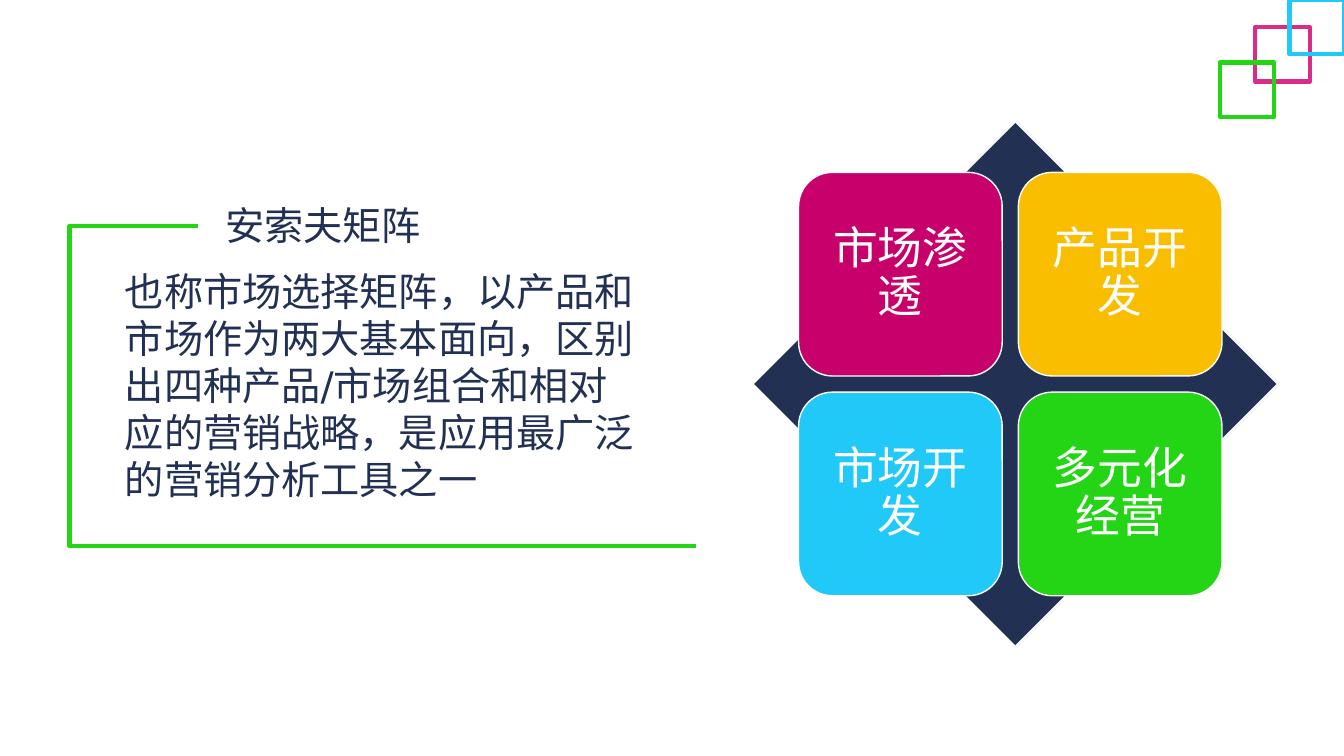
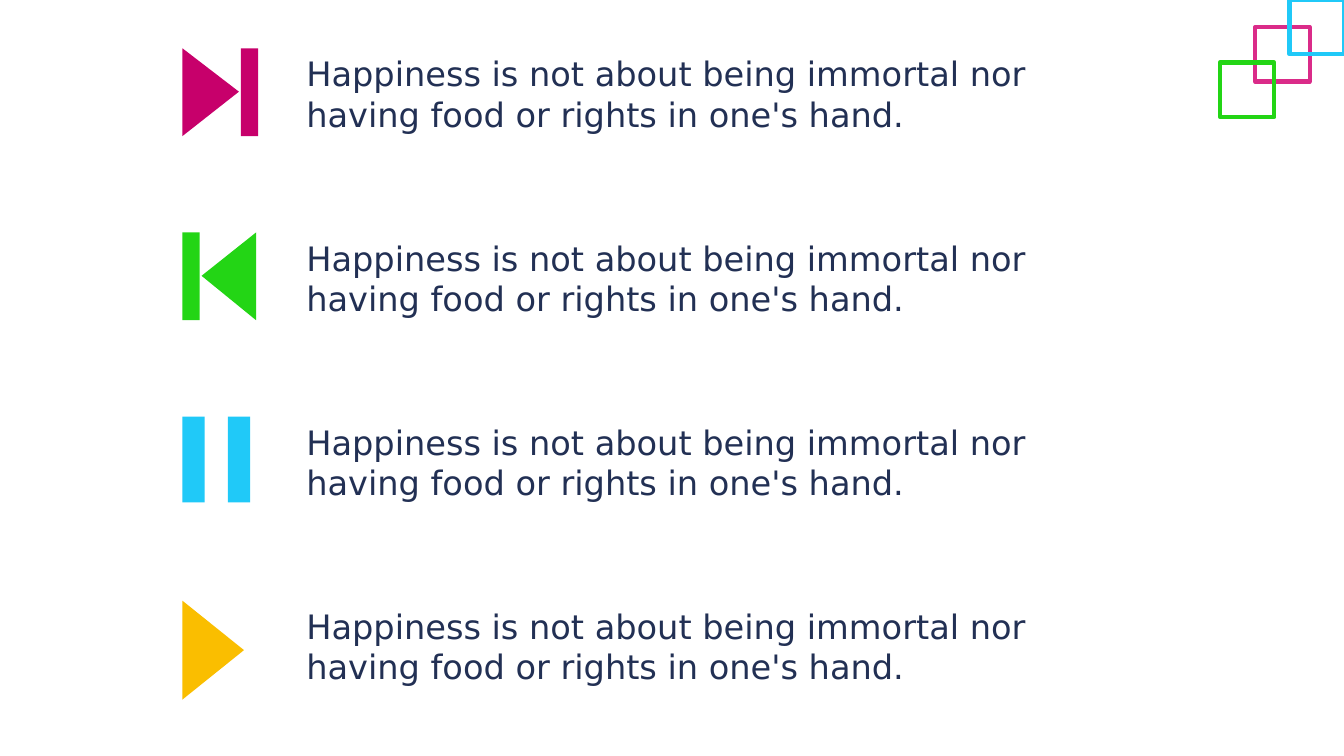
from dataclasses import dataclass

from pptx import Presentation
from pptx.dml.color import RGBColor
from pptx.enum import shapes, text
from pptx.util import Inches, Pt


@dataclass(frozen=True)
class Theme:
    font: str = "DejaVu Sans"
    navy: str = "223054"
    white: str = "FFFFFF"
    pink: str = "DA2B89"
    magenta: str = "C7006B"
    green: str = "23D515"
    blue: str = "20C9F8"
    yellow: str = "FABE00"
    tile_size: int = 32
    heading_size: int = 28
    row_size: int = 24
    thick: int = 3
    thin: int = 1


THEME = Theme()
PRESET = shapes.MSO_SHAPE

CORNER_SQUARES = [
    (12.45, 0.27, THEME.pink),
    (12.79, 0, THEME.blue),
    (12.1, 0.62, THEME.green),
]
CORNER_SIDE = 0.54

HEADING = "安索夫矩阵"
DEFINITION = (
    "也称市场选择矩阵，以产品和市场作为两大基本面向，区别出四种产品/市场组合"
    "和相对应的营销战略，是应用最广泛的营销分析工具之一"
)
BRACKET = [(1.96, 2.24), (0.69, 2.24), (0.69, 5.42), (6.9, 5.42)]
TILES = [
    ("市场渗透", THEME.magenta),
    ("产品开发", THEME.yellow),
    ("市场开发", THEME.blue),
    ("多元化经营", THEME.green),
]
TILE_LEFT, TILE_TOP, TILE_SIDE, TILE_PITCH = 7.92, 1.71, 2.02, 2.18


def bar(left, width, height=0.87):
    return [(left, 0), (left + width, 0), (left + width, height), (left, height)]


QUOTE = "Happiness is not about being immortal nor having food or rights in one's hand."
ROWS = [
    (QUOTE, THEME.magenta, [[(0, 0), (0.56, 0.43), (0, 0.87)], bar(0.58, 0.17)]),
    (QUOTE, THEME.green, [[(0.73, 0), (0.19, 0.43), (0.73, 0.87)], bar(0, 0.17)]),
    (QUOTE, THEME.blue, [bar(0, 0.22, 0.85), bar(0.45, 0.22, 0.85)]),
    (QUOTE, THEME.yellow, [[(0, 0), (0.61, 0.49), (0, 0.98)]]),
]
ROW_TOP, ROW_BOTTOM = 0.48, 5.96
ICON_LEFT, QUOTE_LEFT = 1.81, 2.94


def paint(shape, fill=None, line=None, width=THEME.thick):
    shape.shadow.inherit = False
    if fill:
        shape.fill.solid()
        shape.fill.fore_color.rgb = RGBColor.from_string(fill)
    else:
        shape.fill.background()
    if line:
        shape.line.color.rgb = RGBColor.from_string(line)
        shape.line.width = Pt(width)
    else:
        shape.line.fill.background()


def add_preset(slide, preset, left, top, side, **look):
    shape = slide.shapes.add_shape(
        preset, Inches(left), Inches(top), Inches(side), Inches(side))
    paint(shape, **look)
    return shape


def add_outline(slide, contours, left=0, top=0, close=True, **look):
    builder = None
    for contour in contours:
        points = [(Inches(left + x), Inches(top + y)) for x, y in contour]
        if builder is None:
            builder = slide.shapes.build_freeform(*points[0])
        else:
            builder.move_to(*points[0])
        builder.add_line_segments(points[1:], close=close)
    paint(builder.convert_to_shape(), **look)


def write(shape, words, size, color=THEME.navy, align=text.PP_ALIGN.LEFT,
          anchor=text.MSO_ANCHOR.TOP, wrap=True):
    frame = shape.text_frame
    frame.text = words
    frame.word_wrap = wrap
    frame.auto_size = text.MSO_AUTO_SIZE.NONE
    frame.vertical_anchor = anchor
    paragraph = frame.paragraphs[0]
    paragraph.alignment = align
    font = paragraph.runs[0].font
    font.name = THEME.font
    font.size = Pt(size)
    font.color.rgb = RGBColor.from_string(color)
    return frame


def add_text(slide, words, left, top, width, height, size):
    box = slide.shapes.add_textbox(
        Inches(left), Inches(top), Inches(width), Inches(height))
    write(box, words, size)


def decorate_master(presentation, slide):
    tree = presentation.slide_master.shapes._spTree
    for number, (left, top, color) in enumerate(CORNER_SQUARES):
        square = add_preset(slide, PRESET.RECTANGLE, left, top, CORNER_SIDE, line=color)
        square.name = f"Corner square {number + 1}"
        square._element.nvSpPr.cNvPr.set("id", str(100 + number))
        tree.append(square._element)


def build_matrix(slide):
    add_text(slide, DEFINITION, 1.14, 2.6, 5.32, 2.46, THEME.heading_size)
    add_preset(slide, PRESET.DIAMOND, 7.48, 1.22, 5.18, fill=THEME.navy)
    for index, (label, color) in enumerate(TILES):
        row, column = divmod(index, 2)
        tile = add_preset(
            slide, PRESET.ROUNDED_RECTANGLE, TILE_LEFT + column * TILE_PITCH,
            TILE_TOP + row * TILE_PITCH, TILE_SIDE,
            fill=color, line=THEME.white, width=THEME.thin)
        frame = write(tile, label, THEME.tile_size, THEME.white,
                      text.PP_ALIGN.CENTER, text.MSO_ANCHOR.MIDDLE)
        frame.paragraphs[0].line_spacing = 0.9
        frame.margin_left = frame.margin_right = Inches(0.13)
        frame.margin_top = frame.margin_bottom = Inches(0.13)
    add_outline(slide, [BRACKET], close=False, line=THEME.green)
    title = slide.shapes.title
    title.left, title.top = Inches(2.12), Inches(1.95)
    title.width, title.height = Inches(2.17), Inches(0.57)
    write(title, HEADING, THEME.heading_size, align=text.PP_ALIGN.CENTER, wrap=False)


def build_rows(slide):
    pitch = (ROW_BOTTOM - ROW_TOP) / (len(ROWS) - 1)
    for index, (words, color, icon) in enumerate(ROWS):
        top = ROW_TOP + index * pitch
        add_outline(slide, icon, ICON_LEFT, top, fill=color)
        add_text(slide, words, QUOTE_LEFT, top, 8.43, 0.91, THEME.row_size)


def main():
    presentation = Presentation()
    presentation.slide_width = Inches(13.33)
    presentation.slide_height = Inches(7.5)
    title_only, blank = presentation.slide_layouts[5], presentation.slide_layouts[6]
    matrix_slide = presentation.slides.add_slide(title_only)
    decorate_master(presentation, matrix_slide)
    build_matrix(matrix_slide)
    build_rows(presentation.slides.add_slide(blank))
    presentation.save("out.pptx")


if __name__ == "__main__":
    main()
